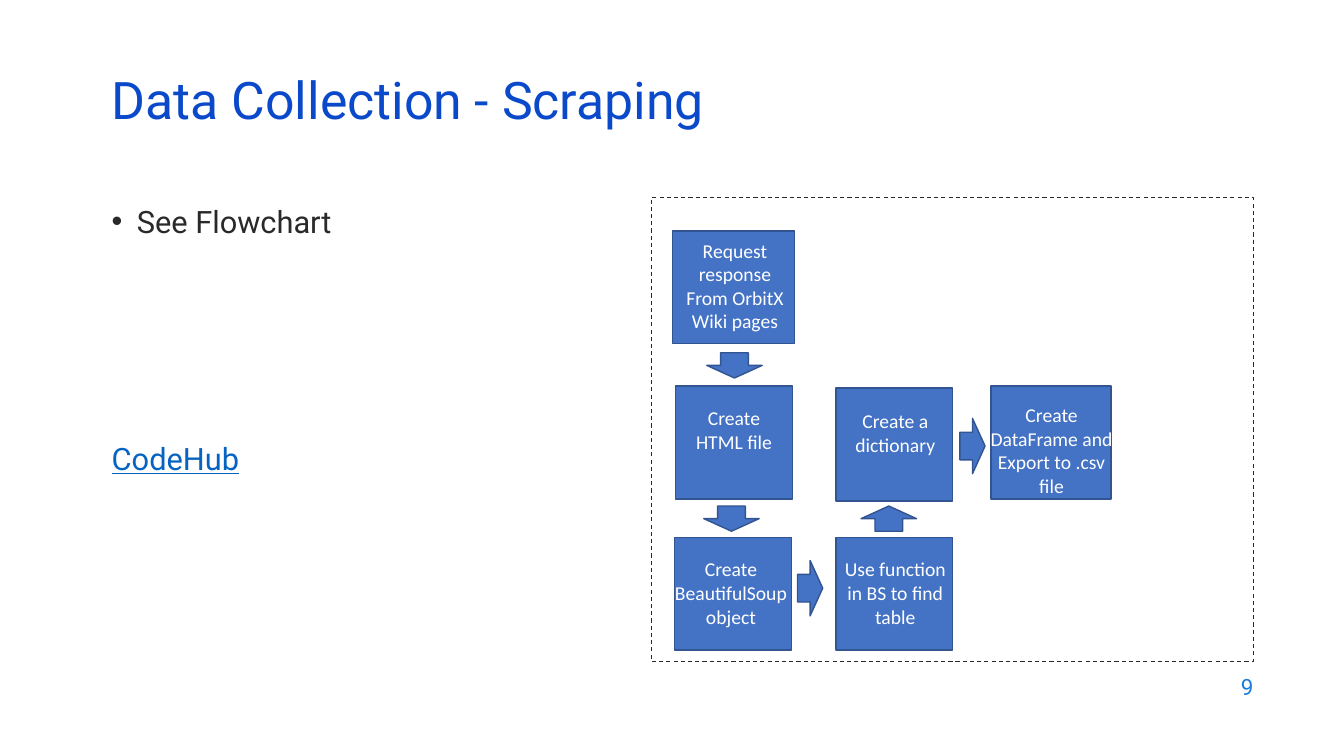
from lxml import etree
from pptx import Presentation
from pptx import util as u
from pptx.dml.color import RGBColor
from pptx.enum import dml, shapes, text
from pptx.oxml.ns import qn

BLUE, STEP_FILL, STEP_LINE = "0B49CB", "4472C4", "325491"
DARK, WHITE, PAGE_BLUE, LINK_BLUE = "292929", "FFFFFF", "1C7DDB", "0563C1"
LEFT, CENTER, RIGHT = text.PP_ALIGN.LEFT, text.PP_ALIGN.CENTER, text.PP_ALIGN.RIGHT
TOP, MIDDLE = text.MSO_ANCHOR.TOP, text.MSO_ANCHOR.MIDDLE


def rgb(value):
    return RGBColor.from_string(value)


class FlowSlide:
    """Holds the slide and its shared style."""

    heading_font, step_font = "Roboto", "Calibri"
    arrow_size = (0.55, 0.25)

    def __init__(self, deck):
        self.slide = deck.slides.add_slide(deck.slide_layouts[6])

    def format_paragraph(self, paragraph, font, size, color, align=LEFT):
        paragraph.alignment = align
        for run in paragraph.runs:
            run.font.name = font
            run.font.size = u.Pt(size)
            run.font.color.rgb = rgb(color)

    def add_text(self, place, lines, font, size, color, align=LEFT, anchor=TOP):
        """Add a text box, one paragraph per line, and return its paragraphs."""
        frame = self.slide.shapes.add_textbox(*map(u.Inches, place)).text_frame
        frame.word_wrap = True
        frame.vertical_anchor = anchor
        frame.text = lines
        for paragraph in frame.paragraphs:
            self.format_paragraph(paragraph, font, size, color, align)
        return frame.paragraphs

    def bullet(self, paragraph):
        properties = paragraph._p.get_or_add_pPr()
        properties.set("marL", str(u.Inches(0.25)))
        properties.set("indent", str(-u.Inches(0.25)))
        etree.SubElement(properties, qn("a:buFont")).set("typeface", "Arial")
        etree.SubElement(properties, qn("a:buChar")).set("char", "•")

    def frame(self, place):
        border = self.slide.shapes.add_shape(
            shapes.MSO_SHAPE.RECTANGLE, *map(u.Inches, place))
        border.shadow.inherit = False
        border.fill.background()
        border.line.color.rgb = rgb(DARK)
        border.line.width = u.Pt(0.75)
        border.line.dash_style = dml.MSO_LINE.DASH

    def solid(self, kind, place):
        block = self.slide.shapes.add_shape(kind, *map(u.Inches, place))
        block.shadow.inherit = False
        block.fill.solid()
        block.fill.fore_color.rgb = rgb(STEP_FILL)
        block.line.color.rgb = rgb(STEP_LINE)
        block.line.width = u.Pt(1)
        return block

    def step(self, box, label_place, label):
        self.solid(shapes.MSO_SHAPE.RECTANGLE, box)
        self.add_text(label_place, label, self.step_font, 14, WHITE, CENTER)

    def arrow(self, left, top, rotation):
        arrow = self.solid(shapes.MSO_SHAPE.DOWN_ARROW, (left, top, *self.arrow_size))
        arrow.rotation = rotation


STEP_HEIGHT = 1.12
# box left, top, width; label left, top, width, height; label
STEPS = [
    ((6.67, 2.29, 1.21), (6.63, 2.32, 1.32, 1.04),
     "Request response\nFrom OrbitX Wiki pages"),
    ((6.7, 3.83, 1.16), (6.74, 3.98, 1.08, 0.57), "Create HTML file"),
    ((6.69, 5.33, 1.16), (6.59, 5.48, 1.32, 0.81), "Create BeautifulSoup object"),
    ((8.29, 5.33, 1.16), (8.22, 5.48, 1.32, 0.81), "Use function in BS to find table"),
    ((8.29, 3.85, 1.16), (8.22, 4.01, 1.32, 0.57), "Create a dictionary"),
    ((9.83, 3.83, 1.19), (9.71, 3.95, 1.44, 1.07),
     "Create DataFrame and\nExport to .csv file"),
]
DOWN, UP, ACROSS = 0, 180, 270
ARROWS = [
    (7.01, 3.5, DOWN),
    (6.98, 5.02, DOWN),
    (7.76, 5.71, ACROSS),
    (8.54, 5.02, UP),
    (9.37, 4.3, ACROSS),
]


def main():
    deck = Presentation()
    deck.slide_width, deck.slide_height = u.Inches(13.33), u.Inches(7.5)
    page = FlowSlide(deck)
    roboto = page.heading_font

    page.add_text((9.53, 6.59, 3, 0.44), "9", roboto, 16, PAGE_BLUE, RIGHT, MIDDLE)
    hint, repository = page.add_text(
        (1.01, 1.96, 4.3, 4.17), "See Flowchart\nCodeHub", roboto, 22, DARK)
    page.bullet(hint)
    repository.space_before = u.Pt(143)
    page.format_paragraph(repository, roboto, 22, LINK_BLUE)
    repository.runs[0].font.underline = True
    title, = page.add_text((1.01, 0.76, 11.5, 0.6), "Data Collection - Scraping",
                           roboto, 37, BLUE, anchor=MIDDLE)
    title.line_spacing = 0.7

    page.frame((6.46, 1.96, 5.97, 4.6))
    for box, label_place, label in STEPS:
        page.step((*box, STEP_HEIGHT), label_place, label)
    for left, top, rotation in ARROWS:
        page.arrow(left, top, rotation)

    deck.save("out.pptx")


if __name__ == "__main__":
    main()
